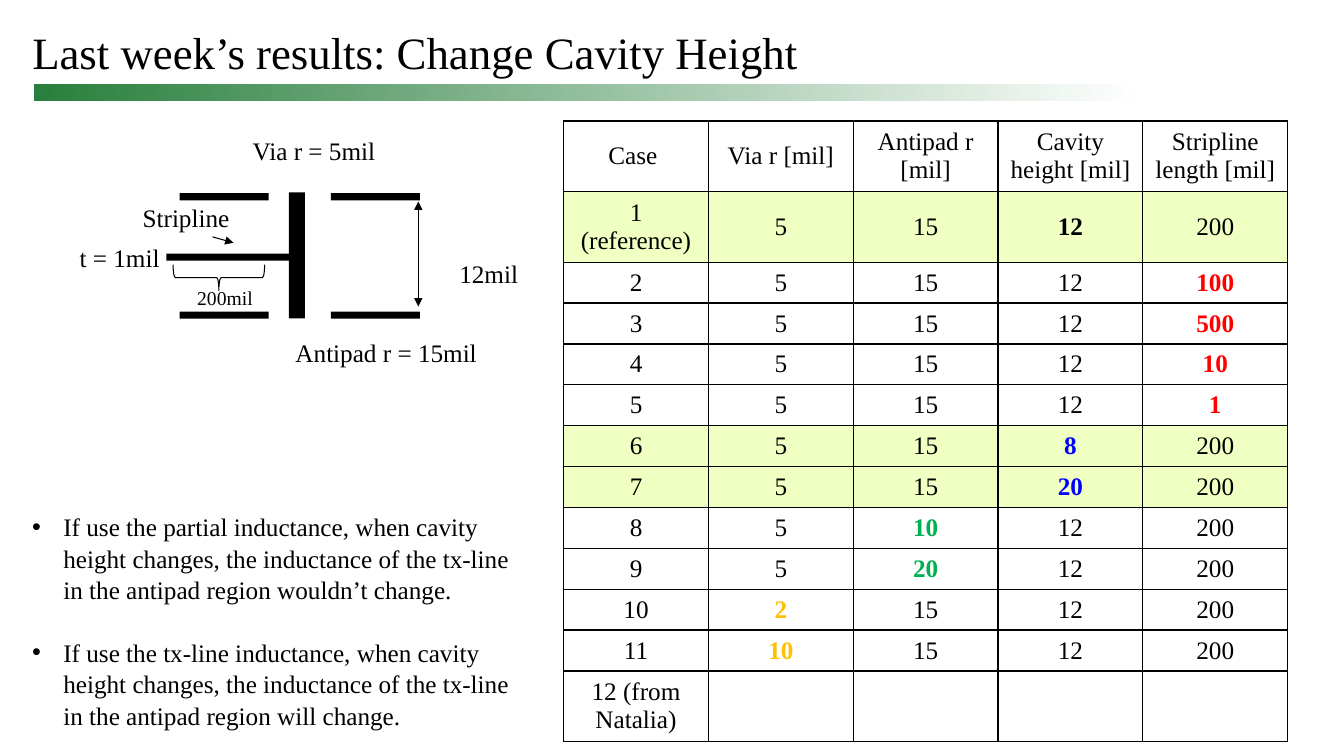
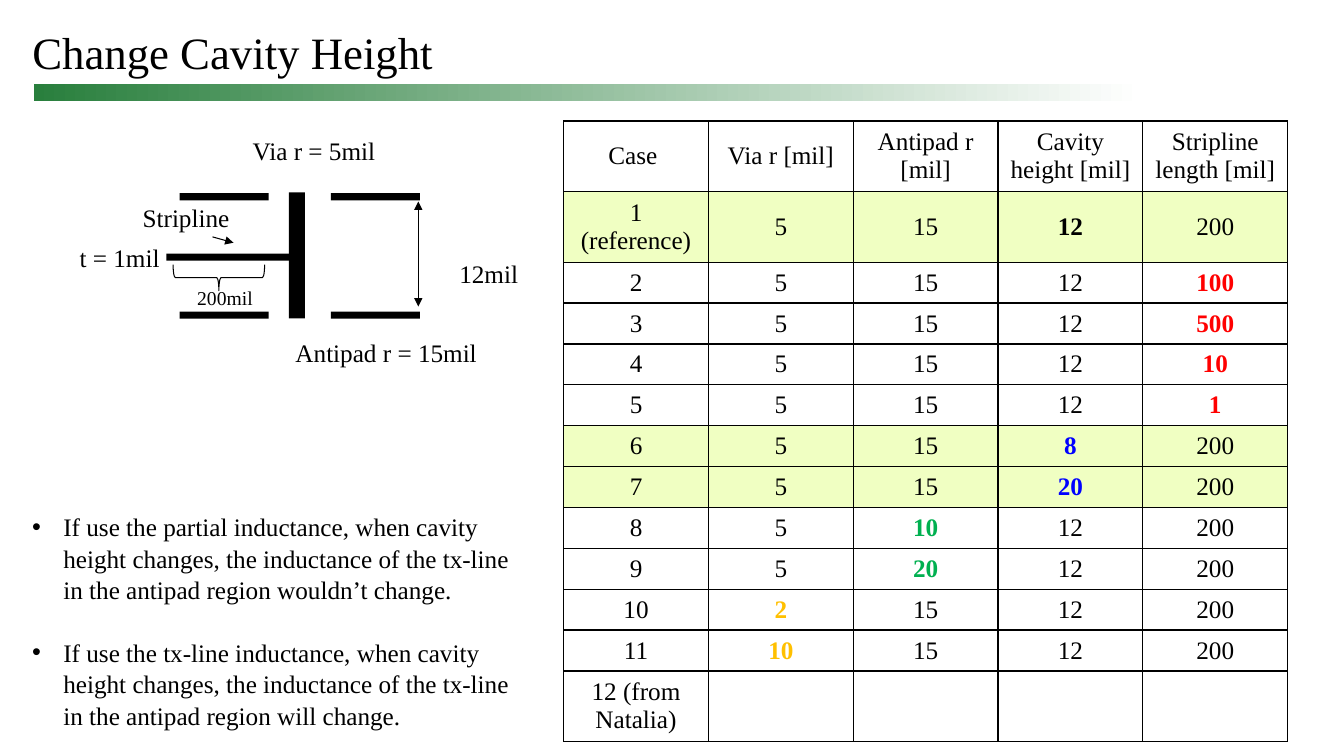
from pptx import Presentation, util as u
from pptx.dml.color import RGBColor
from pptx.enum import shapes, text
from pptx.oxml.ns import qn
from lxml import etree

# Shared style
FONT, BLACK, WHITE = "Times New Roman", "000000", "FFFFFF"
GREEN, LIME = "297F3D", "F0FFC2"
RECT = shapes.MSO_SHAPE.RECTANGLE
CENTER, LEFT = text.PP_ALIGN.CENTER, text.PP_ALIGN.LEFT
MIDDLE, TOP = text.MSO_ANCHOR.MIDDLE, text.MSO_ANCHOR.TOP

# Slide grid: 160 columns by 90 rows of square cells
WIDE, HIGH = 160, 90
CELL = u.Inches(7.5) / HIGH

# Table: every case, and the accent of each parameter when it departs from case 1
HEAD = ["Case ", "Via r [mil]", "Antipad r [mil]", "Cavity height [mil]",
        "Stripline length [mil]"]
CASES = [
    ["1 (reference)", "5", "15", "12", "200"],
    ["2", "5", "15", "12", "100"],
    ["3", "5", "15", "12", "500"],
    ["4", "5", "15", "12", "10"],
    ["5", "5", "15", "12", "1"],
    ["6", "5", "15", "8", "200"],
    ["7", "5", "15", "20", "200"],
    ["8", "5", "10", "12", "200"],
    ["9", "5", "20", "12", "200"],
    ["10", "2", "15", "12", "200"],
    ["11", "10", "15", "12", "200"],
    ["12 (from Natalia)", "", "", "", ""],
]
ACCENT = {1: "FFC000", 2: "00B050", 3: "0000FF", 4: "FF0000"}
HEIGHT = 3  # column of the parameter under study
NOTES = [
    "If use the partial inductance, when cavity height changes, the inductance "
    "of the tx-line in the antipad region wouldn’t change.",
    "If use the tx-line inductance, when cavity height changes, the inductance "
    "of the tx-line in the antipad region will change.",
]


def rgb(code):
    return RGBColor.from_string(code)


def grid(*cells):
    return [u.Emu(round(c * CELL)) for c in cells]


def write(frame, lines, size=18, color=BLACK, bold=False, align=LEFT,
          anchor=TOP, wrap=True):
    """Fill a text frame with one paragraph a line."""
    frame.word_wrap = wrap
    frame.vertical_anchor = anchor
    for i, line in enumerate(lines):
        para = frame.add_paragraph() if i else frame.paragraphs[0]
        para.alignment = align
        run = para.add_run()
        run.text = line
        font = run.font
        font.name, font.size, font.bold = FONT, u.Pt(size), bold
        font.color.rgb = rgb(color)


def block(parent, x, y, w, h, fill=BLACK, kind=RECT):
    """Filled shape, or a thin outline when fill is None."""
    shape = parent.add_shape(kind, *grid(x, y, w, h))
    shape.shadow.inherit = False
    if fill:
        shape.fill.solid()
        shape.fill.fore_color.rgb = rgb(fill)
        shape.line.fill.background()
    else:
        shape.fill.background()
        shape.line.color.rgb = rgb(BLACK)
        shape.line.width = u.Pt(0.75)
    return shape


def arrow(parent, x1, y1, x2, y2, ends=("tailEnd",)):
    line = parent.add_connector(shapes.MSO_CONNECTOR.STRAIGHT,
                                *grid(x1, y1, x2, y2))
    line.line.color.rgb = rgb(BLACK)
    line.line.width = u.Pt(0.75)
    for end in ends:
        etree.SubElement(line.line._get_or_add_ln(), qn("a:" + end),
                         type="triangle")
    etree.SubElement(line._element.spPr, qn("a:effectLst"))


def label(parent, words, x, y, w, h=4.8, size=18):
    box = parent.add_textbox(*grid(x, y, w, h))
    write(box.text_frame, [words], size=size, wrap=False)


def band(slide, layout):
    """Gradient band, moved to the layout so that every slide shows it."""
    bar = block(slide.shapes, 4, 10, 132, 2)
    bar.fill.gradient()
    bar.fill.gradient_angle = 0
    for stop, code, place in zip(bar.fill.gradient_stops, (GREEN, WHITE), (0, 1)):
        stop.color.rgb = rgb(code)
        stop.position = place
    layout.shapes._spTree.append(bar._element)


def head(slide, words):
    title = slide.shapes.title
    title.left, title.top, title.width, title.height = grid(2.64, 0, 144, 10)
    title.text_frame.auto_size = text.MSO_AUTO_SIZE.NONE
    write(title.text_frame, [words], size=32, anchor=text.MSO_ANCHOR.BOTTOM)


def sketch(slide, x, y):
    """Cross-section of the via, its planes and the stripline."""
    parts = slide.shapes.add_group_shape().shapes
    # Planes, via barrel and stripline
    for row in (8, 22.1):
        for col in (13.4, 31.4):
            block(parts, x + col, y + row, 10.6, 0.85)
    block(parts, x + 26.4, y + 7.9, 1.9, 15)
    block(parts, x + 11.8, y + 15.2, 14.9, 0.85)
    # Pointer and length brace
    arrow(parts, x + 17.3, y + 13.2, x + 19.8, y + 13.9)
    brace = block(parts, x + 16.5, y + 12.6, 3.1, 10.9, fill=None,
                  kind=shapes.MSO_SHAPE.RIGHT_BRACE)
    brace.rotation = 90
    # Labels
    label(parts, "Stripline", x + 7.8, y + 8.5, 12.8)
    label(parts, "200mil", x + 14.3, y + 18.4, 9.1, h=4.1, size=14)
    label(parts, "Via r = 5mil", x + 20.9, y + 0.5, 17.2)
    label(parts, "Antipad r = 15mil", x + 26, y + 24.6, 24.2)
    label(parts, "t = 1mil", x + 0.3, y + 13.2, 12)
    # Cavity height
    arrow(slide.shapes, x + 41.8, y + 9, x + 41.8, y + 21.5,
          ends=("headEnd", "tailEnd"))
    label(slide.shapes, "12mil", x + 45.5, y + 15.2, 9.5)


def edge(cell):
    """Black one-point border on all four sides."""
    props = cell._tc.get_or_add_tcPr()
    for i, side in enumerate(("lnL", "lnR", "lnT", "lnB")):
        line = etree.Element(qn("a:" + side), w=str(u.Pt(1)))
        fill = etree.SubElement(line, qn("a:solidFill"))
        etree.SubElement(fill, qn("a:srgbClr"), val=BLACK)
        props.insert(i, line)


def cases(slide, x, y, w):
    rows = [HEAD] + CASES
    base = CASES[0]
    tall = (0, 1, len(rows) - 1)  # rows with two lines
    sizes = [8.4 if r in tall else 4.87 for r in range(len(rows))]
    table = slide.shapes.add_table(len(rows), len(HEAD),
                                   *grid(x, y, w, sum(sizes))).table
    table.first_row = table.horz_banding = False
    for col in table.columns:
        col.width = grid(w / len(HEAD))[0]
    for r, row in enumerate(rows):
        table.rows[r].height = grid(sizes[r])[0]
        lit = row is base or (r and row[HEIGHT] not in ("", base[HEIGHT]))
        for c, value in enumerate(row):
            cell = table.cell(r, c)
            cell.fill.solid()
            cell.fill.fore_color.rgb = rgb(LIME if lit else WHITE)
            edge(cell)
            moved = r > 0 and c > 0 and value != base[c]
            if value:
                write(cell.text_frame, [value], align=CENTER,
                      color=ACCENT[c] if moved else BLACK,
                      bold=moved or (row is base and c == HEIGHT))
            cell.vertical_anchor = MIDDLE


def notes(slide, x, y, w, h):
    frame = slide.shapes.add_textbox(*grid(x, y, w, h)).text_frame
    write(frame, NOTES)
    for para in frame.paragraphs:
        para.line_spacing = 1.05
        props = para._p.get_or_add_pPr()
        props.set("marL", str(u.Inches(0.31)))
        props.set("indent", str(-u.Inches(0.31)))
        etree.SubElement(props, qn("a:buFont"), typeface="Arial")
        etree.SubElement(props, qn("a:buChar"), char="•")
    frame.paragraphs[0].space_after = u.Pt(21.7)


def main():
    deck = Presentation()
    deck.slide_width, deck.slide_height = grid(WIDE, HIGH)
    layout = deck.slide_layouts[5]
    titles = ["Last week’s results: Change Cavity Height",
              "Change Cavity Height"]
    for i, words in enumerate(titles):
        slide = deck.slides.add_slide(layout)
        if i == 0:
            band(slide, layout)
        head(slide, words)
        sketch(slide, 8, 15)
        cases(slide, 67.1, 14.4, 86.2)
        notes(slide, 2.64, 60.1, 59.4, 26.6)
    deck.save("out.pptx")


if __name__ == "__main__":
    main()
